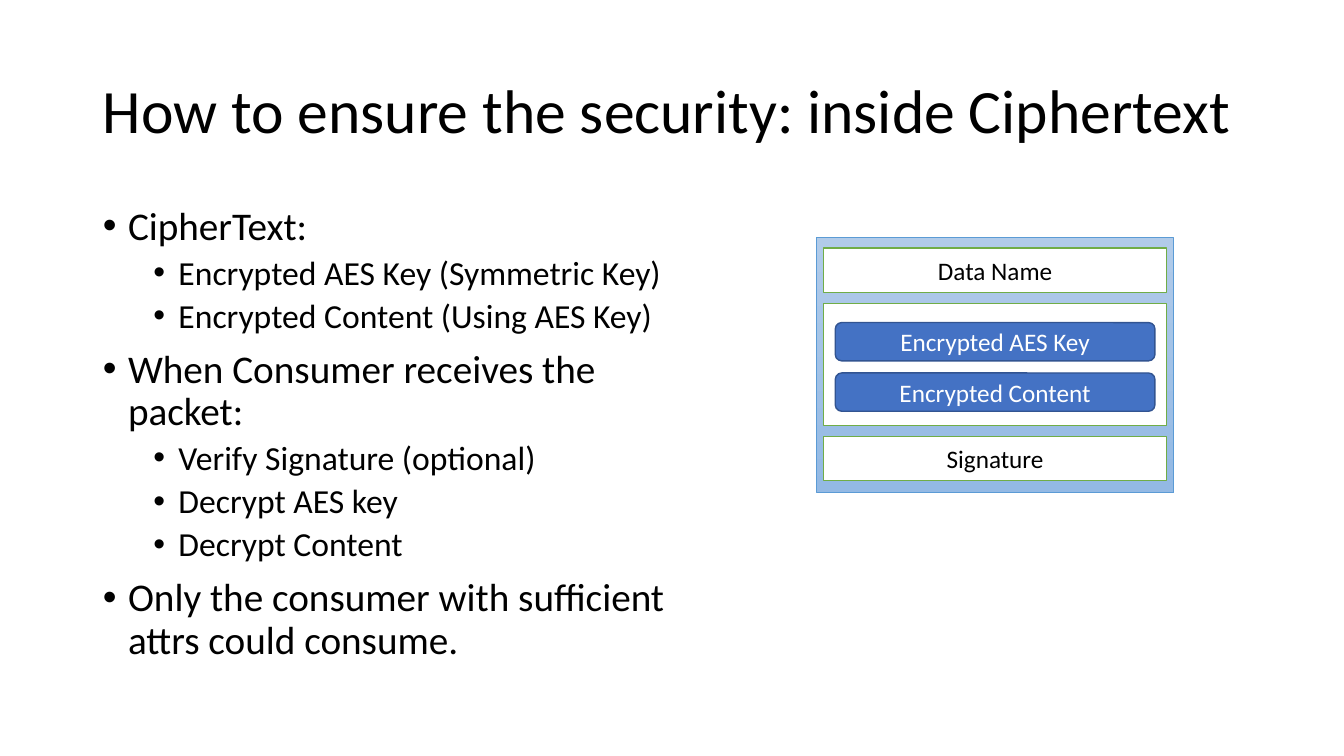
import pptx
import pptx.dml.color
import pptx.enum.shapes
import pptx.enum.text
import pptx.oxml.ns
import pptx.util
from lxml import etree
from pptx.util import Inches

SHAPES = pptx.enum.shapes.MSO_SHAPE
ALIGN = pptx.enum.text.PP_ALIGN
ANCHOR = pptx.enum.text.MSO_ANCHOR
NO_FIT = pptx.enum.text.MSO_AUTO_SIZE.NONE

TITLE = "How to ensure the security: inside Ciphertext"
BULLETS = [
    (0, "CipherText:"),
    (1, "Encrypted AES Key (Symmetric Key)"),
    (1, "Encrypted Content (Using AES Key)"),
    (0, "When Consumer receives the packet:"),
    (1, "Verify Signature (optional)"),
    (1, "Decrypt AES key"),
    (1, "Decrypt Content"),
    (0, "Only the consumer with sufficient attrs could consume."),
]
# Per level: font size, space before (points), left margin (inches)
LEVELS = [(28, 10, 0.25), (24, 5, 0.75)]
HANGING = 0.25

FIELD = {"kind": SHAPES.RECTANGLE, "fill": "FFFFFF", "line": "70AD47", "text": "000000"}
CIPHER = {"kind": SHAPES.ROUNDED_RECTANGLE, "fill": "4472C4", "line": "325491", "text": "FFFFFF"}


def color(hex_string):
    return pptx.dml.color.RGBColor.from_string(hex_string)


def apply(target, values):
    for name, value in values.items():
        setattr(target, name, value)


def place(shape, box):
    apply(shape, dict(zip(("left", "top", "width", "height"), map(Inches, box))))


def write(paragraph, text, size, hex_color, **paragraph_format):
    run = paragraph.add_run()
    run.text = text
    apply(run.font, {"name": "Calibri", "size": pptx.util.Pt(size)})
    run.font.color.rgb = color(hex_color)
    apply(paragraph, paragraph_format)


def add_bullet(paragraph, margin):
    properties = paragraph._p.get_or_add_pPr()
    properties.set("marL", str(Inches(margin)))
    properties.set("indent", str(-Inches(HANGING)))
    for tag, name, value in (("a:buFont", "typeface", "Arial"), ("a:buChar", "char", "•")):
        etree.SubElement(properties, pptx.oxml.ns.qn(tag)).set(name, value)


def fill_title(title, box):
    place(title, box)
    apply(title.text_frame, {"vertical_anchor": ANCHOR.MIDDLE, "auto_size": NO_FIT, "word_wrap": True})
    write(title.text_frame.paragraphs[0], TITLE, 44, "000000", alignment=ALIGN.LEFT, line_spacing=0.9)


def fill_body(body, box):
    place(body, box)
    frame = body.text_frame
    apply(frame, {"vertical_anchor": ANCHOR.TOP, "auto_size": NO_FIT, "word_wrap": True})
    for index, (level, text) in enumerate(BULLETS):
        paragraph = frame.add_paragraph() if index else frame.paragraphs[0]
        size, space, margin = LEVELS[level]
        write(paragraph, text, size, "000000", level=level, line_spacing=0.9,
              space_before=pptx.util.Pt(space))
        add_bullet(paragraph, margin)


def add_block(group, box, style, text=""):
    shape = group.shapes.add_shape(style["kind"], *map(Inches, box))
    shape.shadow.inherit = False
    shape.fill.solid()
    shape.fill.fore_color.rgb = color(style["fill"])
    shape.line.color.rgb = color(style["line"])
    shape.line.width = pptx.util.Pt(1)
    if text:
        apply(shape.text_frame, {"vertical_anchor": ANCHOR.MIDDLE, "word_wrap": True})
        write(shape.text_frame.paragraphs[0], text, 18, style["text"], alignment=ALIGN.CENTER)
    return shape


def add_packet(slide, box):
    """Draw the data packet: name, encrypted payload and signature."""
    left, top, width, height = box
    group = slide.shapes.add_group_shape()
    packet = add_block(group, box, dict(FIELD, line="5B9BD5"))
    packet.line.width = pptx.util.Pt(0.5)
    packet.fill.gradient()
    packet.fill.gradient_angle = 270
    for stop, hex_color in zip(packet.fill.gradient_stops, ("B1CBE9", "93B9E4")):
        stop.color.rgb = color(hex_color)

    for offset, field_height, text in ((0.1, 0.44, "Data Name"), (0.65, 1.21, ""),
                                       (1.97, 0.44, "Signature")):
        add_block(group, (left + 0.07, top + offset, width - 0.14, field_height), FIELD, text)
    for row, text in enumerate(("Encrypted AES Key", "Encrypted Content")):
        add_block(group, (left + 0.185, top + 0.84 + 0.5 * row, width - 0.37, 0.38), CIPHER, text)


def main():
    presentation = pptx.Presentation()
    apply(presentation, {"slide_width": Inches(13.33), "slide_height": Inches(7.5)})
    slide = presentation.slides.add_slide(presentation.slide_layouts[1])
    fill_title(slide.shapes.title, (0.92, 0.4, 11.5, 1.45))
    fill_body(slide.placeholders[1], (0.92, 2, 6.16, 4.76))
    add_packet(slide, (8.1, 2.36, 3.54, 2.53))
    presentation.save("out.pptx")


if __name__ == "__main__":
    main()
